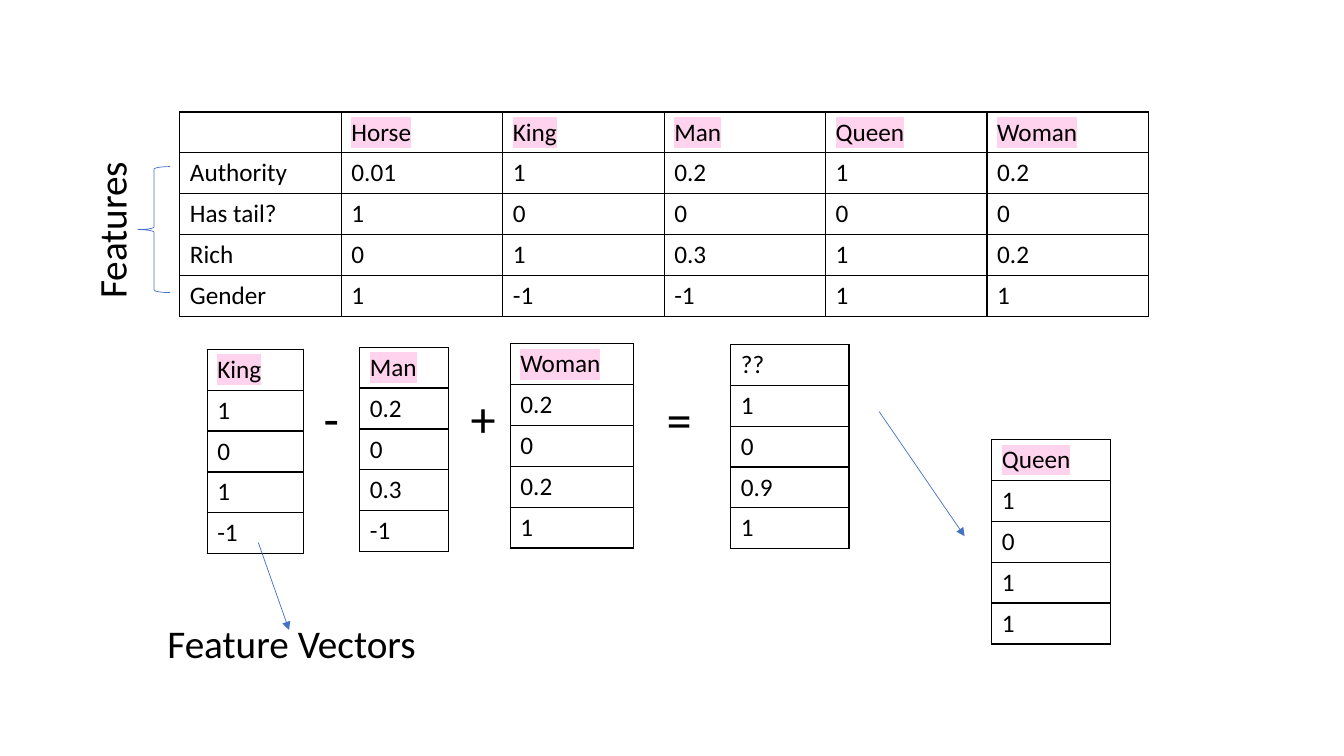
import lxml.etree
import pptx
import pptx.dml.color
import pptx.enum.shapes
import pptx.enum.text
import pptx.oxml
import pptx.oxml.ns
import pptx.util

Pt = pptx.util.Pt
qn = pptx.oxml.ns.qn
BLACK = pptx.dml.color.RGBColor(0x00, 0x00, 0x00)
BLUE = pptx.dml.color.RGBColor(0x44, 0x72, 0xC4)
PINK = pptx.dml.color.RGBColor(0xFF, 0xD3, 0xED)
ROW_HEIGHT = 26


def write(frame, text, size=18, highlight=None):
    paragraph = frame.paragraphs[0]
    paragraph.font.size = Pt(size)
    if not text:
        return
    run = paragraph.add_run()
    run.text = text
    run.font.name = "Calibri"
    run.font.size = Pt(size)
    run.font.color.rgb = BLACK
    if highlight is not None:
        mark = lxml.etree.Element(qn("a:highlight"))
        lxml.etree.SubElement(mark, qn("a:srgbClr"), val=str(highlight))
        run.font._element.find(qn("a:latin")).addprevious(mark)


def add_grid(shapes, left, top, width, rows):
    columns = len(rows[0])
    grid = shapes.add_table(len(rows), columns, Pt(left), Pt(top),
                            Pt(width), Pt(ROW_HEIGHT * len(rows))).table
    grid.first_row = grid.horz_banding = False
    for column in grid.columns:
        column.width = Pt(width / columns)
    for r, row in enumerate(rows):
        for c, text in enumerate(row):
            cell = grid.cell(r, c)
            known_word = r == 0 and text != "??"
            write(cell.text_frame, text, highlight=PINK if known_word else None)
            borders = cell._tc.get_or_add_tcPr()
            for side in ("a:lnL", "a:lnR", "a:lnT", "a:lnB"):
                border = lxml.etree.SubElement(borders, qn(side), w=str(Pt(1)))
                fill = lxml.etree.SubElement(border, qn("a:solidFill"))
                lxml.etree.SubElement(fill, qn("a:srgbClr"), val=str(BLACK))
            cell.fill.background()


presentation = pptx.Presentation()
presentation.slide_width, presentation.slide_height = Pt(960), Pt(540)
shapes = presentation.slides.add_slide(presentation.slide_layouts[6]).shapes

# Word features
features = [
    ["", "Horse", "King", "Man", "Queen", "Woman"],
    ["Authority", "0.01", "1", "0.2", "1", "0.2"],
    ["Has tail?", "1", "0", "0", "0", "0"],
    ["Rich", "0", "1", "0.3", "1", "0.2"],
    ["Gender", "1", "-1", "-1", "1", "1"],
]
add_grid(shapes, 128.5, 80, 692, features)

# Vectors of the equation: left, top, width, word, values (None: look up)
vectors = [
    (148, 249.5, 69, "King", None),
    (257, 248, 63.5, "Man", None),
    (364.5, 245.5, 88, "Woman", None),
    (522, 246, 84.5, "??", ["1", "0", "0.9", "1"]),
    (708.5, 314, 84.5, "Queen", None),
]
for left, top, width, word, values in vectors:
    if values is None:
        position = features[0].index(word)
        values = [row[position] for row in features[1:]]
    add_grid(shapes, left, top, width, [[value] for value in [word] + values])

# Operators and labels: text, left, top, width, height, size, rotation
labels = [
    ("-", 224, 273, 26, 51, 36, 0),
    ("+", 329, 273, 32.5, 51, 36, 0),
    ("=", 469, 273.5, 32.5, 51, 36, 0),
    ("Feature Vectors", 112.5, 439, 193.5, 41, 28, 0),
    ("Features", 23, 143.5, 113, 41, 28, 270),
]
for text, left, top, width, height, size, rotation in labels:
    label = shapes.add_textbox(Pt(left), Pt(top), Pt(width), Pt(height))
    label.rotation = rotation
    label.text_frame.word_wrap = False
    label.text_frame.auto_size = pptx.enum.text.MSO_AUTO_SIZE.SHAPE_TO_FIT_TEXT
    write(label.text_frame, text, size=size)

# Arrows to the answer and to the caption
for ends in [(628, 294, 689, 383), (184.5, 387.5, 206.5, 450)]:
    arrow = shapes.add_connector(pptx.enum.shapes.MSO_CONNECTOR.STRAIGHT,
                                 *[Pt(end) for end in ends])
    arrow.line.color.rgb = BLUE
    arrow.line.width = Pt(0.5)
    lxml.etree.SubElement(arrow.line._get_or_add_ln(), qn("a:tailEnd"), type="triangle")
    lxml.etree.SubElement(arrow._element.spPr, qn("a:effectLst"))

# Brace beside the feature names
brace = shapes.add_shape(pptx.enum.shapes.MSO_SHAPE.LEFT_BRACE,
                         Pt(98.5), Pt(119), Pt(23), Pt(90))
brace.shadow.inherit = False
brace.fill.background()
brace.line.color.rgb = BLUE
brace.line.width = Pt(0.5)

presentation.save("out.pptx")
